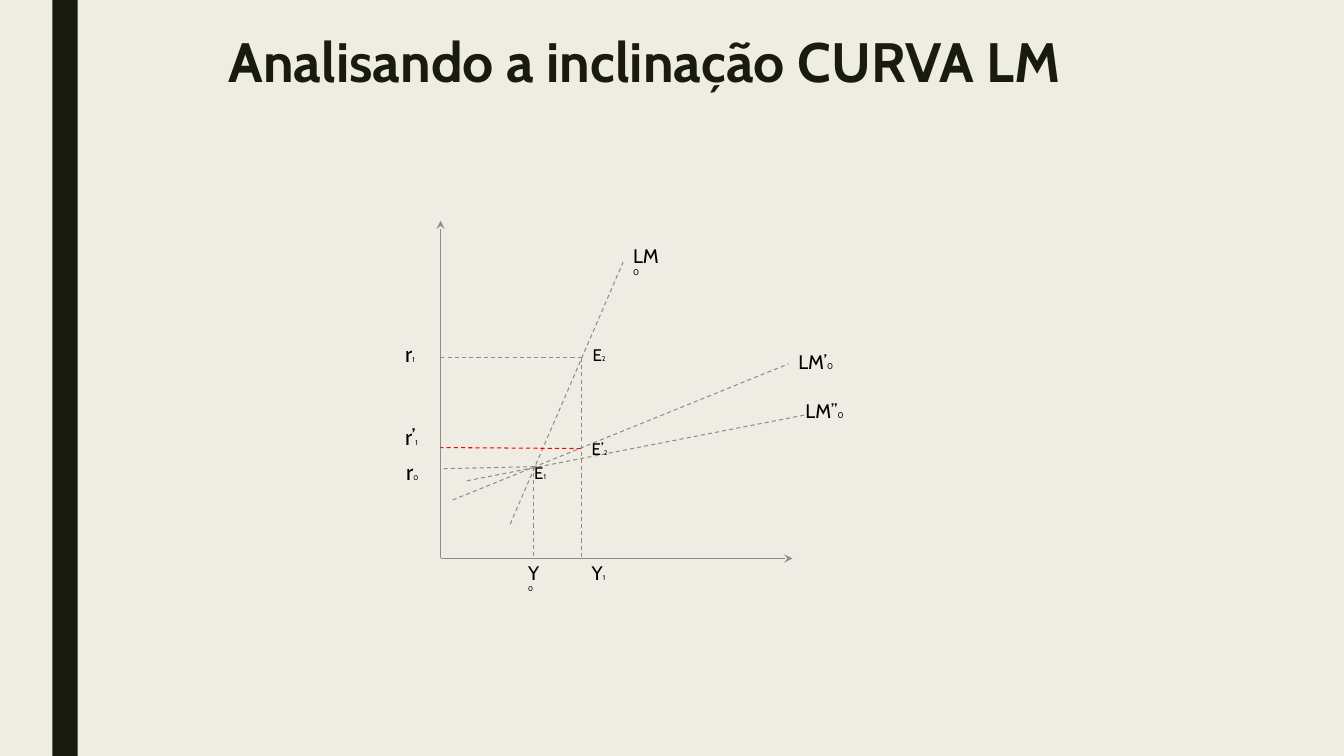
"""Builds a slide that compares the slopes of three LM curves."""
import pptx
import pptx.dml.color
import pptx.enum.dml
import pptx.enum.shapes
import pptx.enum.text
import pptx.oxml.ns
import pptx.util
from lxml import etree

Inches = pptx.util.Inches
RGBColor = pptx.dml.color.RGBColor

CREAM = RGBColor(0xEF, 0xED, 0xE3)
DARK = RGBColor(0x19, 0x1B, 0x0E)
BLACK = RGBColor(0, 0, 0)
GRAY = RGBColor(0x8C, 0x8D, 0x86)
RED = RGBColor(0xFF, 0, 0)
FONT = "Cabin"

TITLE = "Analisando a inclinação CURVA LM"
ORIGIN = (4.37, 5.54)
AXIS_ENDS = [(4.37, 2.19), (7.86, 5.54)]
CURVES = [
    ((5.06, 5.2), (6.18, 2.6)),
    ((4.49, 4.96), (7.82, 3.61)),
    ((4.63, 4.77), (8.02, 4.11)),
]
GUIDES = [
    ((5.77, 3.55), (4.35, 3.55)),
    ((5.29, 4.62), (5.29, 5.54)),
    ((5.3, 4.63), (4.37, 4.65)),
    ((5.77, 3.55), (5.77, 5.54)),
]
RED_GUIDE = ((5.76, 4.45), (4.37, 4.44))

# fields: symbol, subscript, left, top, width, symbol size, subscript size
LABELS = [
    ("r", "0", 3.93, 4.5, 0.32, 16, 5),
    ("r", "1", 3.92, 3.33, 0.32, 16, 5),
    ("r’", "1", 3.92, 4.15, 0.37, 16, 5),
    ("LM", "0", 6.18, 2.37, 0.51, 14, 6),
    ("LM’", "0", 7.82, 3.42, 0.56, 14, 6),
    ("LM’’", "0", 7.89, 3.91, 0.61, 14, 6),
    ("E", "1", 5.2, 4.54, 0.34, 12, 5),
    ("E", "2", 5.78, 3.37, 0.34, 12, 5),
    ("E’", "2", 5.77, 4.3, 0.38, 12, 5),
    ("Y", "0", 5.14, 5.52, 0.34, 14, 5),
    ("Y", "1", 5.77, 5.52, 0.34, 14, 5),
]
LABEL_HEIGHTS = {16: 0.37, 14: 0.34, 12: 0.3}


def add_text(slide, box, runs, color, bold=False):
    """Adds a wrapping text box with runs of (text, size) and returns it."""
    shape = slide.shapes.add_textbox(*map(Inches, box))
    shape.text_frame.word_wrap = True
    paragraph = shape.text_frame.paragraphs[0]
    for text, size in runs:
        run = paragraph.add_run()
        run.text = text
        run.font.color.rgb = color
        font_format = {"name": FONT, "size": pptx.util.Pt(size), "bold": bold}
        for attribute, value in font_format.items():
            setattr(run.font, attribute, value)
    return shape


def add_line(slide, start, end, color=GRAY, dashed=True, arrow=False):
    """Adds a thin straight line, dashed or with an arrowhead at its end."""
    connector = slide.shapes.add_connector(
        pptx.enum.shapes.MSO_CONNECTOR.STRAIGHT, *map(Inches, start + end))
    connector.line.width = pptx.util.Pt(0.75)
    connector.line.color.rgb = color
    if dashed:
        connector.line.dash_style = pptx.enum.dml.MSO_LINE.DASH
    qualified = pptx.oxml.ns.qn
    properties = connector.line._get_or_add_ln().getparent()
    if arrow:
        etree.SubElement(connector.line._get_or_add_ln(),
                         qualified("a:tailEnd"), type="stealth")
    etree.SubElement(properties, qualified("a:effectLst"))


def main():
    """Builds and saves the slide."""
    presentation = pptx.Presentation()
    presentation.slide_width = Inches(13.33)
    presentation.slide_height = Inches(7.5)
    slide = presentation.slides.add_slide(presentation.slide_layouts[6])
    slide.background.fill.solid()
    slide.background.fill.fore_color.rgb = CREAM

    side_bar = slide.shapes.add_shape(
        pptx.enum.shapes.MSO_SHAPE.RECTANGLE,
        *map(Inches, (0.52, 0, 0.25, 7.5)))
    side_bar.shadow.inherit = False
    side_bar.fill.solid()
    side_bar.fill.fore_color.rgb = DARK
    side_bar.line.fill.background()

    title = add_text(slide, (2.17, 0.3, 9, 0.54), [(TITLE, 39.6)], DARK, True)
    title.text_frame.paragraphs[0].line_spacing = 0.89

    for axis_end in AXIS_ENDS:
        add_line(slide, ORIGIN, axis_end, dashed=False, arrow=True)
    for start, end in CURVES + GUIDES:
        add_line(slide, start, end)
    add_line(slide, *RED_GUIDE, color=RED)

    for symbol, subscript, left, top, width, size, small_size in LABELS:
        label = add_text(slide, (left, top, width, LABEL_HEIGHTS[size]),
                         [(symbol, size), (subscript, small_size)], BLACK)
        label.text_frame.auto_size = (
            pptx.enum.text.MSO_AUTO_SIZE.SHAPE_TO_FIT_TEXT)

    presentation.save("out.pptx")


if __name__ == "__main__":
    main()
